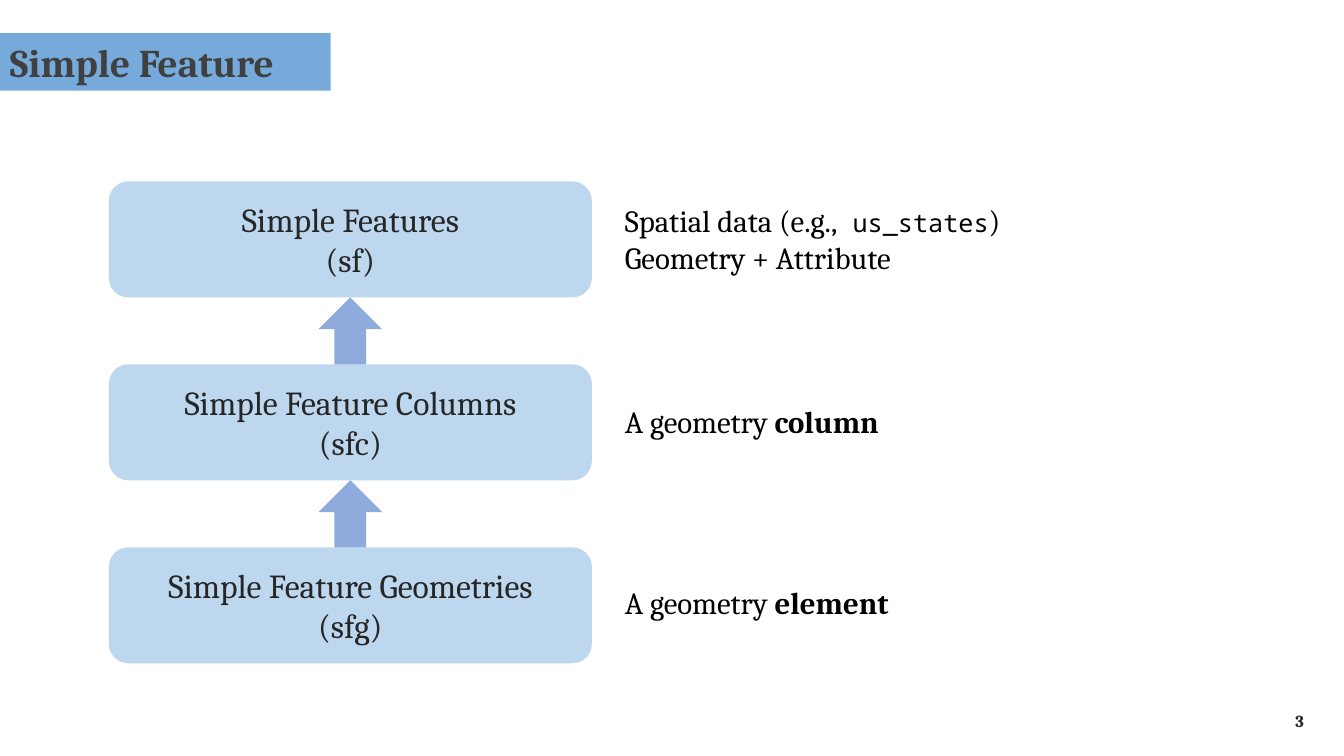
"""Build a slide showing how simple feature classes build on one another."""
from pptx import Presentation
from pptx.dml.color import RGBColor
from pptx.enum import shapes, text
from pptx.util import Inches, Pt

COLORS = {
    "title_bar": "75AADB",
    "box": "BDD7EE",
    "arrow": "8FAADC",
    "title": "404040",
    "dark": "262626",
    "black": "000000",
}
BODY, MONO = "Cambria", "Noto Sans Mono"
BOLD = {"bold": True}
CODE = {"name": MONO, "size": Pt(18)}

TITLE = "Simple Feature"
PAGE_NUMBER = "3"
LEVELS = [
    {
        "box": ["Simple Features", "(sf)"],
        "note": [
            [("Spatial data (e.g.,", {}), (" us_states", CODE), (")", {})],
            [("Geometry + Attribute", {})],
        ],
        "note_area": (1.95, 5.74, 0.84),
    },
    {
        "box": ["Simple Feature Columns", "(sfc)"],
        "note": [[("A geometry ", {}), ("column", BOLD)]],
        "note_area": (3.95, 3.3, 0.47),
    },
    {
        "box": ["Simple Feature Geometries", "(sfg)"],
        "note": [[("A geometry ", {}), ("element", BOLD)]],
        "note_area": (5.74, 3.3, 0.47),
    },
]

BOX_LEFT, BOX_TOP, BOX_WIDTH, BOX_HEIGHT = 1.08, 1.8, 4.79, 1.15
PITCH = 1.815
ARROW_WIDTH = 0.63
NOTE_LEFT = 6.1


def write(shape, lines, size, color, align, anchor, bold=False):
    frame = shape.text_frame
    frame.word_wrap = True
    frame.vertical_anchor = anchor
    for index, line in enumerate(lines):
        paragraph = frame.add_paragraph() if index else frame.paragraphs[0]
        paragraph.alignment = align
        for words, changes in line:
            run = paragraph.add_run()
            run.text = words
            font = {"name": BODY, "size": Pt(size), "bold": bold, **changes}
            for key, value in font.items():
                setattr(run.font, key, value)
            run.font.color.rgb = RGBColor.from_string(COLORS[color])


def add_filled(slide, kind, area, color):
    shape = slide.shapes.add_shape(kind, *map(Inches, area))
    shape.shadow.inherit = False
    shape.fill.solid()
    shape.fill.fore_color.rgb = RGBColor.from_string(COLORS[color])
    shape.line.fill.background()
    return shape


def add_text(slide, area, *style, **options):
    write(slide.shapes.add_textbox(*map(Inches, area)), *style, **options)


def main():
    presentation = Presentation()
    presentation.slide_width = Inches(13.33)
    presentation.slide_height = Inches(7.5)
    slide = presentation.slides.add_slide(presentation.slide_layouts[6])
    kinds, align, anchor = shapes.MSO_SHAPE, text.PP_ALIGN, text.MSO_ANCHOR

    title = add_filled(slide, kinds.RECTANGLE, (0, 0.33, 3.28, 0.57), "title_bar")
    write(title, [[(TITLE, {})]], 28, "title", align.LEFT, anchor.TOP, bold=True)

    arrow_left = BOX_LEFT + (BOX_WIDTH - ARROW_WIDTH) / 2
    for index, level in enumerate(LEVELS):
        top = BOX_TOP + index * PITCH
        box_area = (BOX_LEFT, top, BOX_WIDTH, BOX_HEIGHT)
        box = add_filled(slide, kinds.ROUNDED_RECTANGLE, box_area, "box")
        lines = [[(line, {})] for line in level["box"]]
        write(box, lines, 24, "dark", align.CENTER, anchor.MIDDLE)
        add_text(slide, (NOTE_LEFT, *level["note_area"]), level["note"],
                 22, "black", align.LEFT, anchor.TOP)
        if index:
            gap = PITCH - BOX_HEIGHT
            arrow_area = (arrow_left, top - gap, ARROW_WIDTH, gap)
            add_filled(slide, kinds.UP_ARROW, arrow_area, "arrow")

    add_text(slide, (10.03, 6.95, 3, 0.4), [[(PAGE_NUMBER, {})]],
             12, "dark", align.RIGHT, anchor.MIDDLE, bold=True)
    presentation.save("out.pptx")


if __name__ == "__main__":
    main()
